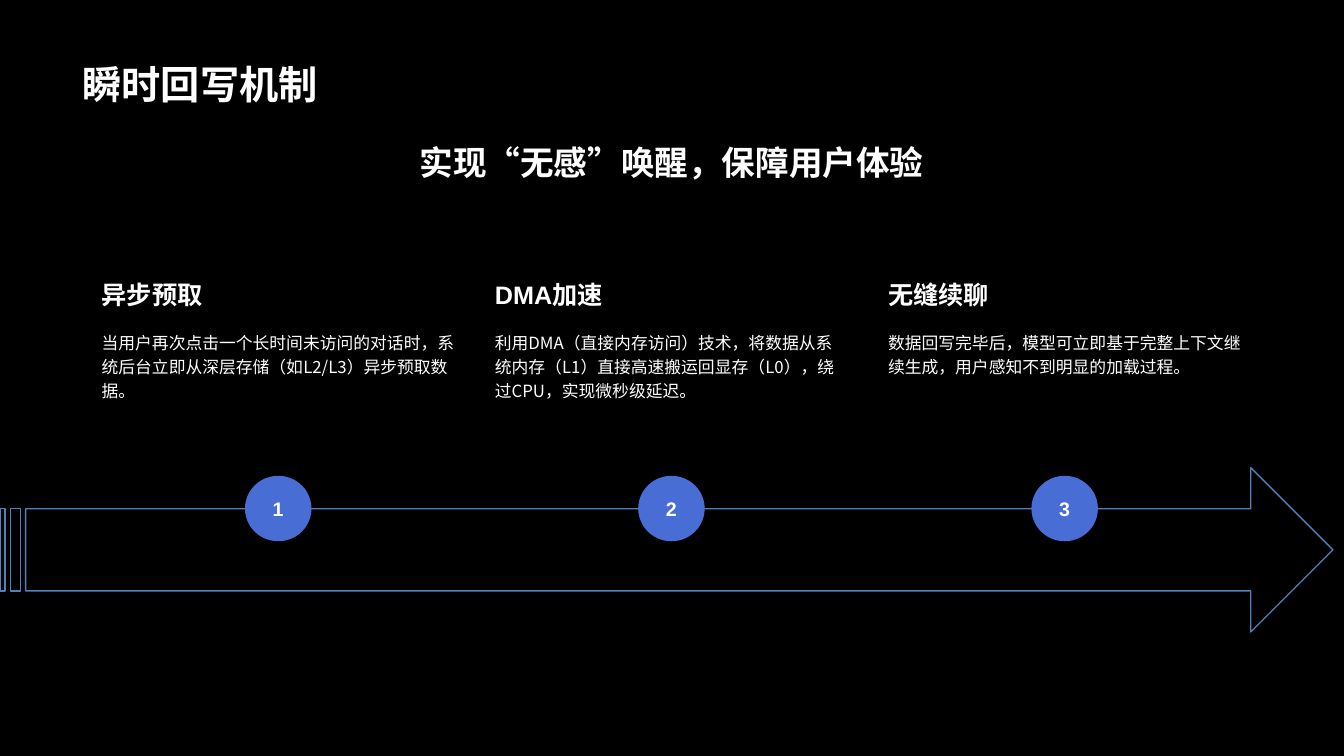
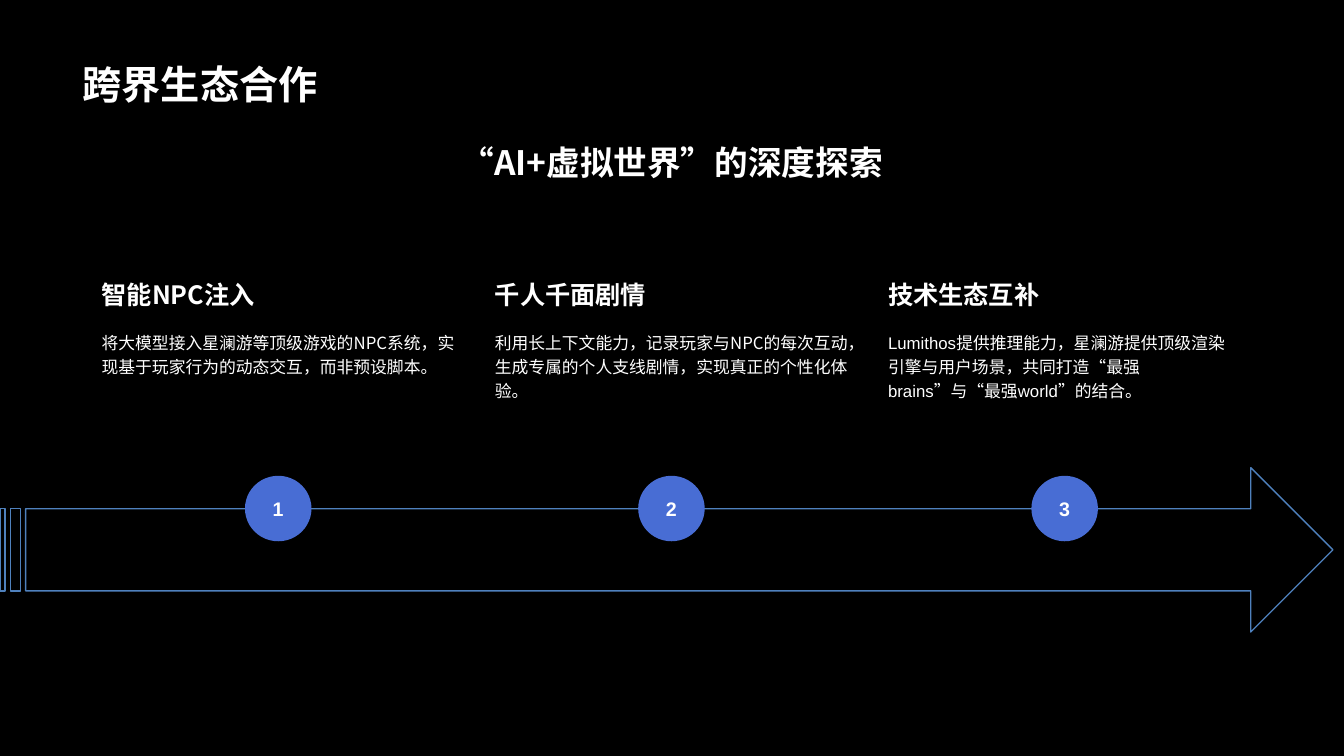
from lxml import etree
from pptx import Presentation
from pptx import util as u
from pptx.dml.color import RGBColor
from pptx.enum import shapes, text
from pptx.oxml import ns

BLACK = RGBColor(0x00, 0x00, 0x00)
WHITE = RGBColor(0xFF, 0xFF, 0xFF)
BLUE = RGBColor(0x48, 0x6D, 0xD4)
EDGE = RGBColor(0x4F, 0x81, 0xBD)
SANS = "Noto Sans CJK SC"
ARIAL = "Arial"

TITLE = {"size": u.Pt(28), "bold": True, "name": SANS}
LEAD = {"size": u.Pt(24), "bold": True, "name": SANS}
HEAD = {"size": u.Pt(18), "bold": True, "name": SANS}
BODY = {"size": u.Pt(12), "bold": False, "name": SANS}
BADGE = {"size": u.Pt(14), "bold": True, "name": ARIAL}

LEFT, CENTER = text.PP_ALIGN.LEFT, text.PP_ALIGN.CENTER
TOP, MIDDLE, BOTTOM = (text.MSO_ANCHOR.TOP, text.MSO_ANCHOR.MIDDLE,
                       text.MSO_ANCHOR.BOTTOM)

WIDE, TALL = 13.33, 7.5
COL_W, GAP = 3.7, 0.2

DECK = [
    ("瞬时回写机制", "实现“无感”唤醒，保障用户体验", [
        ("异步预取", SANS,
         "当用户再次点击一个长时间未访问的对话时，系统后台立即从深层存储（如L2/L3）异步预取数据。", SANS),
        ("DMA加速", ARIAL,
         "利用DMA（直接内存访问）技术，将数据从系统内存（L1）直接高速搬运回显存（L0），绕过CPU，实现微秒级延迟。", SANS),
        ("无缝续聊", SANS,
         "数据回写完毕后，模型可立即基于完整上下文继续生成，用户感知不到明显的加载过程。", SANS),
    ]),
    ("跨界生态合作", "“AI+虚拟世界”的深度探索", [
        ("智能NPC注入", SANS,
         "将大模型接入星澜游等顶级游戏的NPC系统，实现基于玩家行为的动态交互，而非预设脚本。", SANS),
        ("千人千面剧情", SANS,
         "利用长上下文能力，记录玩家与NPC的每次互动，生成专属的个人支线剧情，实现真正的个性化体验。", SANS),
        ("技术生态互补", SANS,
         "Lumithos提供推理能力，星澜游提供顶级渲染引擎与用户场景，共同打造“最强brains”与“最强world”的结合。", ARIAL),
    ]),
]


def inches(box):
    """Turn a box of numbers into lengths."""
    return [u.Inches(n) for n in box]


def write(shape, words, style, align=LEFT, anchor=TOP, wrap=True):
    """Put one styled paragraph into a shape."""
    frame = shape.text_frame
    frame.word_wrap = wrap
    frame.vertical_anchor = anchor
    para = frame.paragraphs[0]
    para.alignment = align
    run = para.add_run()
    run.text = words
    for key, value in style.items():
        setattr(run.font, key, value)
    run.font.color.rgb = WHITE
    etree.SubElement(run._r.get_or_add_rPr(), ns.qn("a:ea"), typeface=SANS)
    return para


def label(slide, box, words, style, **place):
    """Add a text box."""
    shape = slide.shapes.add_textbox(*inches(box))
    return write(shape, words, style, **place)


def title(slide, box, words):
    """Place the slide title."""
    shape = slide.shapes.title
    shape.left, shape.top, shape.width, shape.height = inches(box)
    write(shape, words, TITLE, anchor=BOTTOM)


def arrow(slide, box):
    """Draw the striped arrow across the slide."""
    kind = shapes.MSO_SHAPE.STRIPED_RIGHT_ARROW
    shape = slide.shapes.add_shape(kind, *inches(box))
    shape.shadow.inherit = False
    shape.fill.solid()
    shape.fill.fore_color.rgb = BLACK
    tint = shape._element.spPr.find(ns.qn("a:solidFill"))[0]
    etree.SubElement(tint, ns.qn("a:alpha"), val="45000")
    shape.line.color.rgb = EDGE
    shape.line.width = u.Pt(1)


def badge(slide, box, words):
    """Draw a numbered circle."""
    shape = slide.shapes.add_shape(shapes.MSO_SHAPE.OVAL, *inches(box))
    shape.shadow.inherit = False
    shape.fill.solid()
    shape.fill.fore_color.rgb = BLUE
    shape.line.fill.background()
    for side in ("left", "top", "right", "bottom"):
        setattr(shape.text_frame, "margin_" + side, u.Inches(0.12))
    write(shape, words, BADGE, align=CENTER, anchor=MIDDLE, wrap=False)


def step(slide, box, num, item):
    """Place a heading, its text and its badge in one column."""
    x, y, w, h = box
    head, head_font, body, body_font = item
    label(slide, (x, y, w, 0.8), head, HEAD | {"name": head_font},
          anchor=BOTTOM)
    para = label(slide, (x, y + 0.89, w, 1.43), body,
                 BODY | {"name": body_font})
    para.line_spacing = 1.2
    badge(slide, (x + w / 2 - 0.33, y + h - 0.65, 0.66, 0.65), str(num))


def page(prs, name, lead, items):
    """Build one slide with a title, a lead and numbered steps."""
    slide = prs.slides.add_slide(prs.slide_layouts[5])
    title(slide, (0.72, 0.14, 11.88, 0.98), name)
    arrow(slide, (0, 4.64, 13.22, 1.63))
    label(slide, (0.72, 1.24, 11.88, 0.73), lead, LEAD,
          align=CENTER, anchor=MIDDLE)
    for i, item in enumerate(items):
        x = 0.91 + i * (COL_W + GAP)
        step(slide, (x, 2.32, COL_W, 3.05), i + 1, item)


def main():
    """Build and save the deck."""
    prs = Presentation()
    prs.slide_width, prs.slide_height = inches((WIDE, TALL))
    fill = prs.slide_master.background.fill
    fill.solid()
    fill.fore_color.rgb = BLACK
    for name, lead, items in DECK:
        page(prs, name, lead, items)
    prs.save("out.pptx")


if __name__ == "__main__":
    main()
